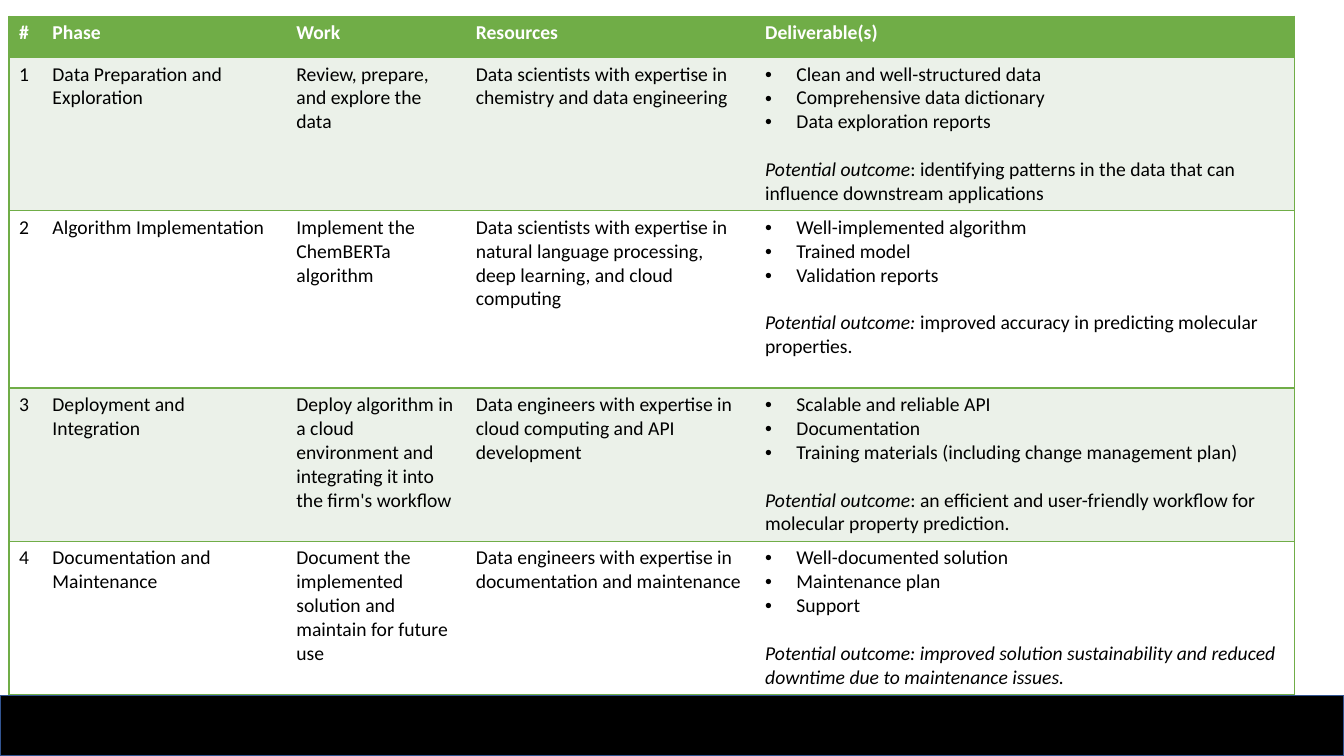
"""Build a slide with a table of project phases above a black footer bar."""
from lxml.etree import SubElement
from pptx import Presentation
from pptx.dml.color import RGBColor
from pptx.enum.shapes import MSO_SHAPE
from pptx.oxml.ns import qn
from pptx.util import Inches, Pt

GREEN = RGBColor(0x70, 0xAD, 0x47)
PALE = RGBColor(0xEB, 0xF1, 0xE9)
WHITE = RGBColor(0xFF, 0xFF, 0xFF)
BLACK = RGBColor(0x00, 0x00, 0x00)
NAVY = RGBColor(0x32, 0x54, 0x91)

COL_WIDTHS = [0.33, 2.42, 1.78, 2.87, 5.35]
ROW_HEIGHTS = [0.41, 1.52, 1.76, 1.52, 1.52]
HEADINGS = ["#", "Phase", "Work", "Resources", "Deliverable(s)"]
PHASES = [
    ("Data Preparation and Exploration",
     "Review, prepare, and explore the data",
     "Data scientists with expertise in chemistry and data engineering",
     ["Clean and well-structured data", "Comprehensive data dictionary",
      "Data exploration reports"],
     [("Potential outcome", True),
      (": identifying patterns in the data that can influence "
       "downstream applications", False)]),
    ("Algorithm Implementation",
     "Implement the ChemBERTa algorithm",
     "Data scientists with expertise in natural language processing, "
     "deep learning, and cloud computing",
     ["Well-implemented algorithm", "Trained model", "Validation reports"],
     [("Potential outcome: ", True),
      ("improved accuracy in predicting molecular properties.", False)]),
    ("Deployment and Integration",
     "Deploy algorithm in a cloud environment and integrating it into "
     "the firm's workflow",
     "Data engineers with expertise in cloud computing and API development",
     ["Scalable and reliable API", "Documentation",
      "Training materials (including change management plan)"],
     [("Potential outcome", True),
      (": an efficient and user-friendly workflow for molecular "
       "property prediction.", False)]),
    ("Documentation and Maintenance",
     "Document the implemented solution and maintain for future use",
     "Data engineers with expertise in documentation and maintenance",
     ["Well-documented solution", "Maintenance plan", "Support"],
     [("Potential outcome: improved solution sustainability and reduced "
       "downtime due to maintenance issues.", True)]),
]


def add_run(p, text, color=BLACK, bold=False, italic=False):
    r = p.add_run()
    r.text = text
    font = r.font
    font.name, font.size = "Calibri", Pt(14)
    font.bold, font.italic = bold, italic
    font.color.rgb = color


def set_bullet(p):
    pPr = p._p.get_or_add_pPr()
    pPr.set("marL", str(Inches(0.31)))
    pPr.set("indent", str(Inches(-0.31)))
    SubElement(pPr, qn("a:buFont"), typeface="Arial")
    SubElement(pPr, qn("a:buChar"), char="•")


def style_cell(cell, fill, sides):
    tcPr = cell._tc.get_or_add_tcPr()
    for side in "LRTB":
        ln = SubElement(tcPr, qn(f"a:ln{side}"), w=str(Pt(1)))
        if side in sides:
            solid = SubElement(ln, qn("a:solidFill"))
            SubElement(solid, qn("a:srgbClr"), val=str(GREEN))
        else:
            SubElement(ln, qn("a:noFill"))
    cell.fill.solid()
    cell.fill.fore_color.rgb = fill


def fill_deliverables(tf, items, outcome):
    p = tf.paragraphs[0]
    for item in items:
        set_bullet(p)
        add_run(p, item)
        p = tf.add_paragraph()
    p.space_before = Pt(17)
    for text, italic in outcome:
        add_run(p, text, italic=italic)


def add_phase_table(slide):
    frame = slide.shapes.add_table(
        len(ROW_HEIGHTS), len(COL_WIDTHS), Inches(0.09), Inches(0.16),
        Inches(sum(COL_WIDTHS)), Inches(sum(ROW_HEIGHTS)))
    table = frame.table
    for col, width in zip(table.columns, COL_WIDTHS):
        col.width = Inches(width)
    last = len(COL_WIDTHS) - 1
    for i, height in enumerate(ROW_HEIGHTS):
        table.rows[i].height = Inches(height)
        fill = GREEN if i == 0 else PALE if i % 2 else WHITE
        for j in range(last + 1):
            sides = "TB" + ("L" if j == 0 else "R" if j == last else "")
            style_cell(table.cell(i, j), fill, sides)
    for j, heading in enumerate(HEADINGS):
        p = table.cell(0, j).text_frame.paragraphs[0]
        add_run(p, heading, WHITE, bold=True)
    for i, (phase, work, resources, items, outcome) in enumerate(PHASES, 1):
        for j, text in enumerate([str(i), phase, work, resources]):
            add_run(table.cell(i, j).text_frame.paragraphs[0], text)
        fill_deliverables(table.cell(i, last).text_frame, items, outcome)


def add_footer_bar(slide):
    sp = slide.shapes.add_shape(MSO_SHAPE.RECTANGLE, Inches(0), Inches(6.9),
                                Inches(13.33), Inches(0.6))
    sp.shadow.inherit = False
    sp.fill.solid()
    sp.fill.fore_color.rgb = BLACK
    sp.line.color.rgb = NAVY
    sp.line.width = Pt(1)


def main():
    prs = Presentation()
    prs.slide_width, prs.slide_height = Inches(13.33), Inches(7.5)
    slide = prs.slides.add_slide(prs.slide_layouts[6])
    add_phase_table(slide)
    add_footer_bar(slide)
    prs.save("out.pptx")


if __name__ == "__main__":
    main()
